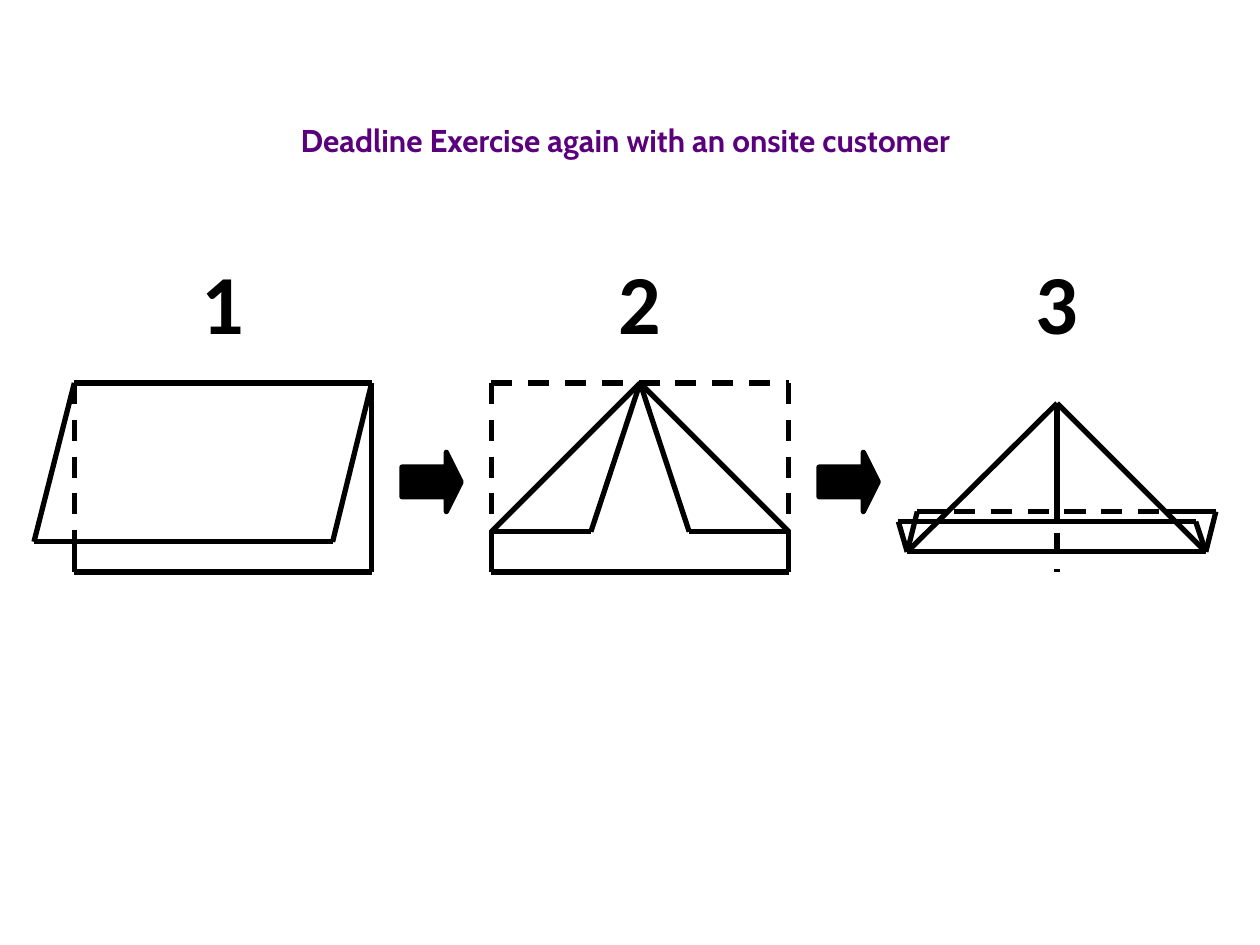
from itertools import pairwise

from lxml.etree import SubElement
from pptx import Presentation
from pptx.dml.color import RGBColor
from pptx.enum.dml import MSO_LINE
from pptx.enum.shapes import MSO_CONNECTOR, MSO_SHAPE
from pptx.enum.text import MSO_ANCHOR, MSO_AUTO_SIZE, PP_ALIGN
from pptx.oxml.ns import qn
from pptx.util import Inches, Pt

BLACK = "000000"
PURPLE = "5A007D"
STEP = 3.31
TOP, BASE, FLAP = 3.04, 4.54, 4.3


def color(code):
    """Turn a hex string into a colour."""
    return RGBColor.from_string(code)


def add_text(slide, text, box, size=18, font="Cabin", code=PURPLE):
    """Add a centred bold line of text."""
    shape = slide.shapes.add_textbox(*map(Inches, box))
    frame = shape.text_frame
    frame.word_wrap = True
    frame.auto_size = MSO_AUTO_SIZE.SHAPE_TO_FIT_TEXT
    frame.vertical_anchor = MSO_ANCHOR.TOP
    line = frame.paragraphs[0]
    line.alignment = PP_ALIGN.CENTER
    run = line.add_run()
    run.text = text
    run.font.size = Pt(size)
    run.font.name = font
    run.font.bold = True
    run.font.color.rgb = color(code)


def add_path(slide, *points, dash=False):
    """Join successive points with straight lines."""
    for start, end in pairwise(points):
        edge = slide.shapes.add_connector(
            MSO_CONNECTOR.STRAIGHT, *map(Inches, start + end))
        edge.line.color.rgb = color(BLACK)
        edge.line.width = Pt(3)
        if dash:
            edge.line.dash_style = MSO_LINE.DASH
        SubElement(edge._element.spPr, qn("a:effectLst"))


def add_arrow(slide, left):
    """Add a solid arrow between two steps."""
    arrow = slide.shapes.add_shape(
        MSO_SHAPE.RIGHT_ARROW, *map(Inches, (left, 3.59, 0.47, 0.47)))
    arrow.adjustments[0] = 0.5
    arrow.adjustments[1] = 0.25
    arrow.shadow.inherit = False
    arrow.fill.solid()
    arrow.fill.fore_color.rgb = color(BLACK)
    arrow.line.color.rgb = color(BLACK)
    arrow.line.width = Pt(3)


def draw_sheet(slide):
    """Draw the sheet folded in half."""
    left, right = 0.59, 2.95
    add_path(slide, (left, TOP), (right, TOP), (right, BASE), (left, BASE),
             (left, FLAP))
    add_path(slide, (left, TOP), (left, BASE), dash=True)
    add_path(slide, (right, TOP), (2.64, FLAP), (0.27, FLAP), (left, TOP))


def draw_fold(slide):
    """Draw the corners folded to the middle."""
    left, mid, right, low = 3.9, 5.08, 6.26, 4.22
    add_path(slide, (left, TOP), (right, TOP), (right, BASE), dash=True)
    add_path(slide, (left, TOP), (left, BASE), dash=True)
    add_path(slide, (left, FLAP), (left, BASE), (right, BASE), (right, FLAP))
    for side, inner in ((left, 4.69), (right, 5.47)):
        add_path(slide, (mid, TOP), (side, low), (inner, low), (mid, TOP))


def draw_hat(slide):
    """Draw the finished hat with its brims."""
    left, mid, right = 7.2, 8.39, 9.57
    peak, back, front, low = 3.2, 4.06, 4.14, 4.38
    add_path(slide, (mid, peak), (right, low), (left, low), (mid, peak),
             (mid, front))
    add_path(slide, (mid, 3.35), (mid, BASE), dash=True)
    add_path(slide, (left, low), (7.13, front), (9.49, front), (right, low))
    add_path(slide, (left, low), (7.28, back), (7.52, back))
    add_path(slide, (right, low), (9.65, back), (9.25, back))
    add_path(slide, (7.28, back), (9.65, back), dash=True)


def main():
    """Build the slide and save it."""
    deck = Presentation()
    deck.slide_width, deck.slide_height = Inches(10), Inches(7.5)
    slide = deck.slides.add_slide(deck.slide_layouts[6])
    for draw in (draw_sheet, draw_fold, draw_hat):
        draw(slide)
    for index in range(3):
        add_text(slide, str(index + 1), (1.22 + STEP * index, 1.94, 1.1, 0.9),
                 size=48, font="Calibri", code=BLACK)
    for index in range(2):
        add_arrow(slide, 3.19 + STEP * index)
    add_text(slide, "Deadline Exercise again with an onsite customer",
             (0.83, 0.91, 8.27, 0.4))
    deck.save("out.pptx")


if __name__ == "__main__":
    main()
